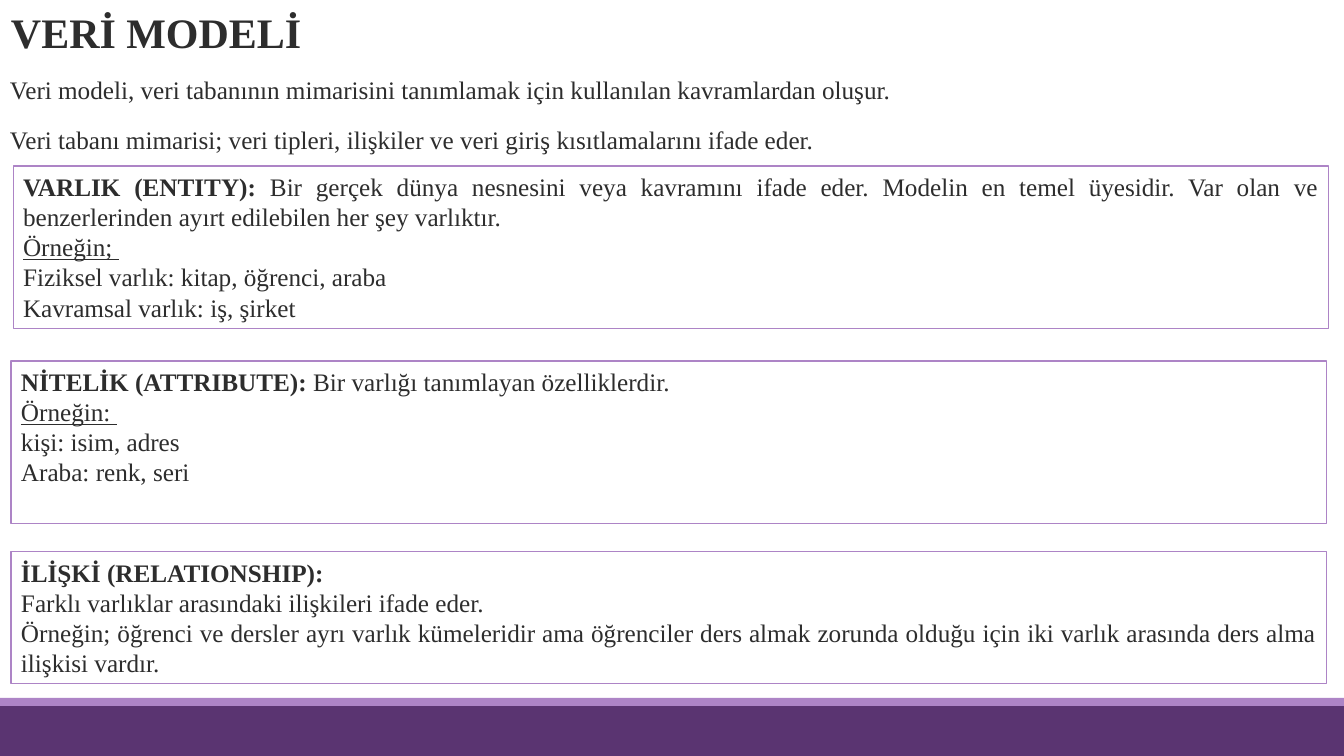
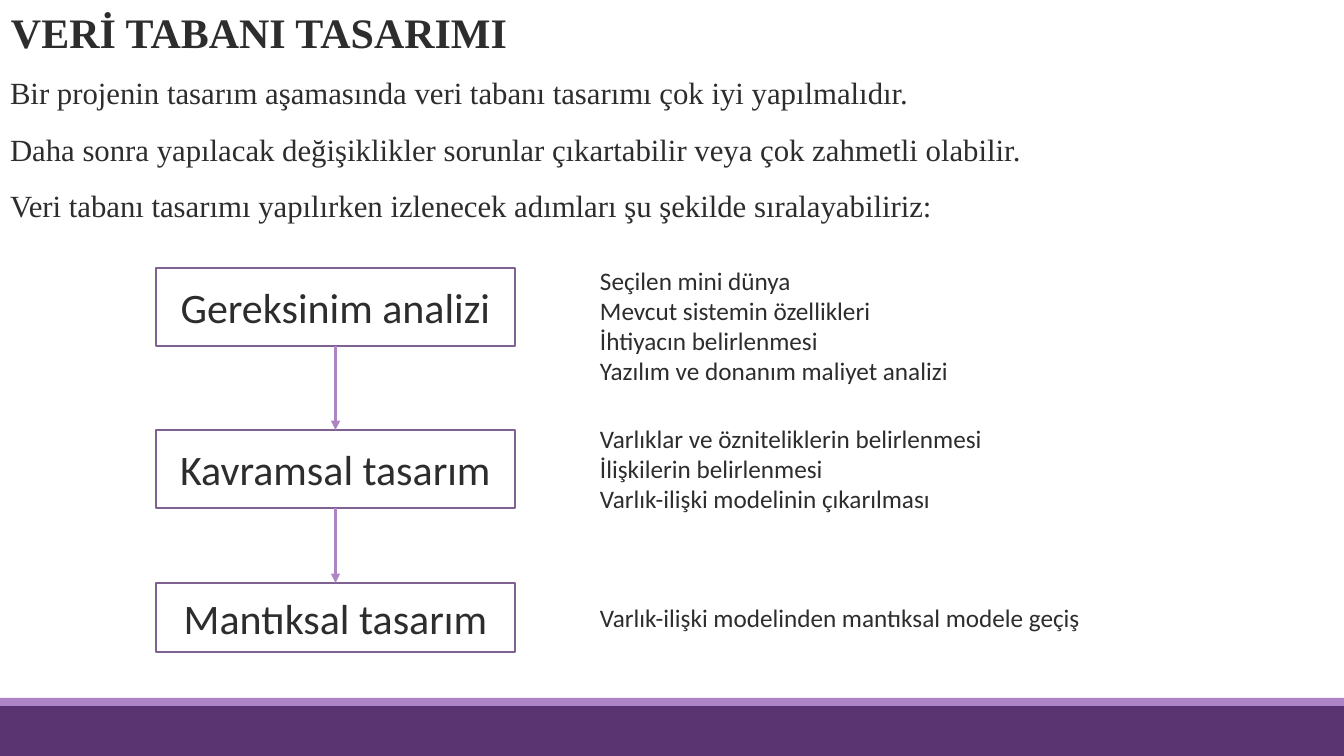
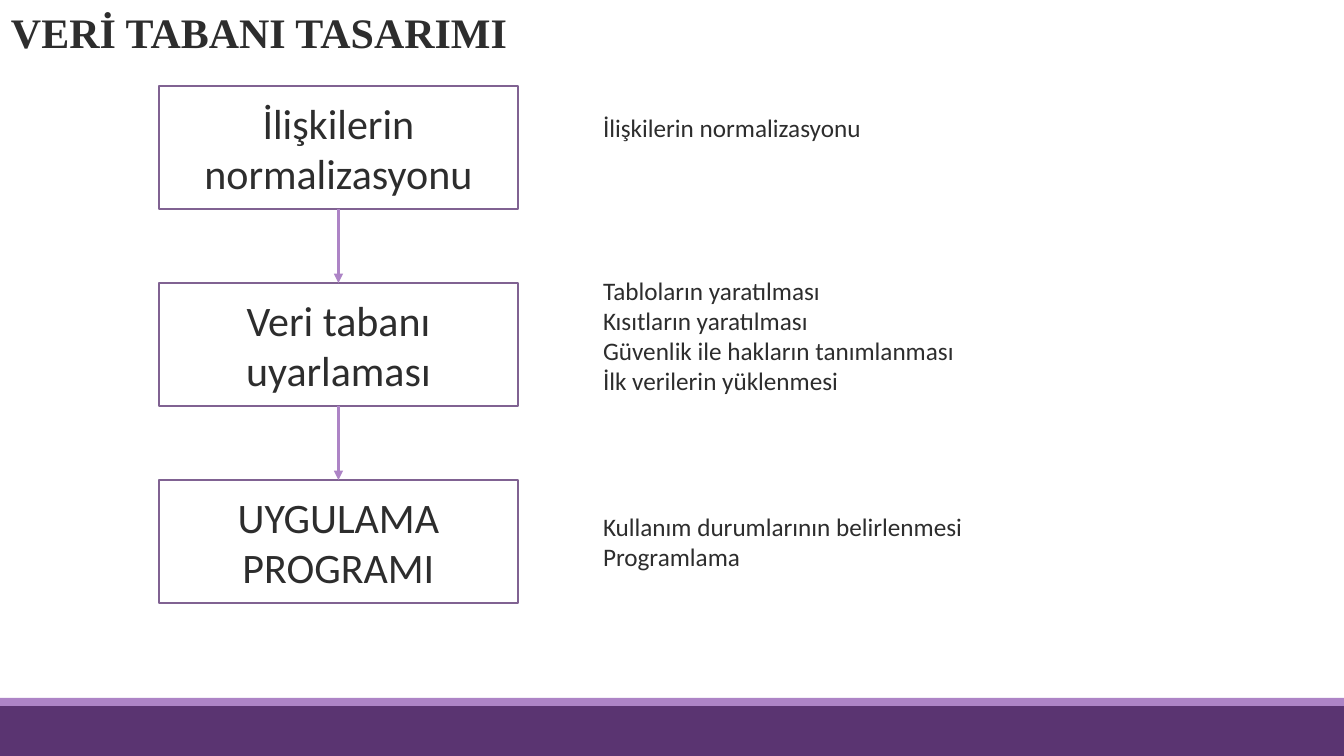
from dataclasses import dataclass
from itertools import pairwise

from lxml.etree import SubElement
from pptx import Presentation
from pptx.dml.color import RGBColor
from pptx.enum.shapes import MSO_CONNECTOR, MSO_SHAPE
from pptx.enum.text import MSO_ANCHOR, PP_ALIGN
from pptx.oxml.ns import qn
from pptx.util import Emu, Pt

SLIDE_WIDTH, SLIDE_HEIGHT = 1344, 756
EMU_PER_PX = 12192000 / SLIDE_WIDTH

DARK_PURPLE = "5A3471"
LIGHT_PURPLE = "AD84C6"
STEP_PURPLE = "806292"
INK = "2D2D2D"
SERIF = "Times New Roman"
SANS = "Calibri"

BOLD = {"bold": True}
UNDERLINE = {"underline": True}

TITLE_HEIGHT = 69
BAND_TOP, STRIPE_HEIGHT = 706, 8
STEP_WIDTH = 359
NOTE_OFFSET, NOTE_WIDTH = 434, 680
NOTE_LINE, NOTE_PADDING = 30, 10


@dataclass
class Step:
    top: int
    height: int
    label: str
    note_top: int
    notes: list


def px(length):
    return Emu(round(length * EMU_PER_PX))


def color(value):
    return RGBColor.from_string(value)


def add_rectangle(slide, box, fill=None, line=None, line_width=0.75):
    shape = slide.shapes.add_shape(MSO_SHAPE.RECTANGLE, *map(px, box))
    shape.shadow.inherit = False
    if fill:
        shape.fill.solid()
        shape.fill.fore_color.rgb = color(fill)
    else:
        shape.fill.background()
    if line:
        shape.line.color.rgb = color(line)
        shape.line.width = Pt(line_width)
    else:
        shape.line.fill.background()
    return shape


def write_text(shape, paragraphs, size=18, font=SERIF, bold=False,
               align=PP_ALIGN.LEFT, anchor=MSO_ANCHOR.TOP, side_inset=10,
               before=0, after=0, line_spacing=1.0):
    """Each paragraph is a string or a list of (text, run format) pairs."""
    frame = shape.text_frame
    frame.word_wrap = True
    frame.vertical_anchor = anchor
    frame.margin_left = frame.margin_right = px(side_inset)
    frame.margin_top = frame.margin_bottom = px(5)
    for index, content in enumerate(paragraphs):
        paragraph = frame.add_paragraph() if index else frame.paragraphs[0]
        paragraph.alignment = align
        paragraph.space_before, paragraph.space_after = Pt(before), Pt(after)
        paragraph.line_spacing = line_spacing
        runs = [(content, {})] if isinstance(content, str) else content
        for text, style in runs:
            run = paragraph.add_run()
            run.text = text
            run.font.name = font
            run.font.size = Pt(size)
            run.font.color.rgb = color(INK)
            run.font.bold = style.get("bold", bold)
            run.font.underline = style.get("underline", False)


def add_text(slide, box, paragraphs, **style):
    shape = slide.shapes.add_textbox(*map(px, box))
    write_text(shape, paragraphs, **style)


def add_arrow(slide, x, top, bottom):
    arrow = slide.shapes.add_connector(
        MSO_CONNECTOR.STRAIGHT, px(x), px(top), px(x), px(bottom))
    arrow.line.color.rgb = color(LIGHT_PURPLE)
    arrow.line.width = Pt(2.25)
    SubElement(arrow.line._get_or_add_ln(), qn("a:tailEnd"), type="triangle")
    SubElement(arrow._element.spPr, qn("a:effectLst"))


def add_base_slide(presentation, title):
    """Add a blank slide with the shared bands and title."""
    slide = presentation.slides.add_slide(presentation.slide_layouts[6])
    add_rectangle(slide, (0, BAND_TOP, SLIDE_WIDTH, SLIDE_HEIGHT - BAND_TOP),
                  fill=DARK_PURPLE)
    add_rectangle(slide, (0, BAND_TOP - STRIPE_HEIGHT, SLIDE_WIDTH, STRIPE_HEIGHT),
                  fill=LIGHT_PURPLE)
    add_text(slide, (0, 0, SLIDE_WIDTH, TITLE_HEIGHT), [title], size=30, bold=True,
             anchor=MSO_ANCHOR.MIDDLE, side_inset=11, before=12, after=2,
             line_spacing=0.9)
    return slide


def add_intro(slide, box, paragraphs, size):
    add_text(slide, box, paragraphs, size=size, align=PP_ALIGN.JUSTIFY,
             before=12, after=2)


def add_definition(slide, box, paragraphs):
    shape = add_rectangle(slide, box, line=LIGHT_PURPLE)
    write_text(shape, paragraphs, align=PP_ALIGN.JUSTIFY)


def add_steps(slide, left, steps):
    """Stack the step boxes with notes beside them and arrows between."""
    for step in steps:
        shape = add_rectangle(slide, (left, step.top, STEP_WIDTH, step.height),
                              line=STEP_PURPLE, line_width=1.25)
        write_text(shape, [step.label], size=30, font=SANS,
                   align=PP_ALIGN.CENTER, anchor=MSO_ANCHOR.MIDDLE)
        note_height = len(step.notes) * NOTE_LINE + NOTE_PADDING
        add_text(slide, (left + NOTE_OFFSET, step.note_top, NOTE_WIDTH, note_height),
                 step.notes, font=SANS)
    for upper, lower in pairwise(steps):
        add_arrow(slide, left + STEP_WIDTH / 2, upper.top + upper.height, lower.top)


def build_data_model(presentation):
    slide = add_base_slide(presentation, "VERİ MODELİ")
    add_intro(slide, (0, TITLE_HEIGHT, 1318, 95), [
        "Veri modeli, veri tabanının mimarisini tanımlamak için kullanılan "
        "kavramlardan oluşur.",
        "Veri tabanı mimarisi; veri tipleri, ilişkiler ve veri giriş "
        "kısıtlamalarını ifade eder.",
    ], size=18)
    add_definition(slide, (13, 166, 1316, 163), [
        [("VARLIK (ENTITY): ", BOLD),
         ("Bir gerçek dünya nesnesini veya kavramını ifade eder. Modelin en temel "
          "üyesidir. Var olan ve benzerlerinden ayırt edilebilen her şey varlıktır.",
          {})],
        [("Örneğin; ", UNDERLINE)],
        "Fiziksel varlık: kitap, öğrenci, araba",
        "Kavramsal varlık: iş, şirket",
    ])
    add_definition(slide, (11, 361, 1316, 163), [
        [("NİTELİK (ATTRIBUTE): ", BOLD),
         ("Bir varlığı tanımlayan özelliklerdir.", {})],
        [("Örneğin: ", UNDERLINE)],
        "kişi: isim, adres",
        "Araba: renk, seri",
    ])
    add_definition(slide, (11, 552, 1316, 132), [
        [("İLİŞKİ (RELATIONSHIP):", BOLD)],
        "Farklı varlıklar arasındaki ilişkileri ifade eder.",
        "Örneğin; öğrenci ve dersler ayrı varlık kümeleridir ama öğrenciler ders "
        "almak zorunda olduğu için iki varlık arasında ders alma ilişkisi vardır.",
    ])


def build_design_start(presentation):
    slide = add_base_slide(presentation, "VERİ TABANI TASARIMI")
    add_intro(slide, (0, TITLE_HEIGHT, SLIDE_WIDTH, 170), [
        "Bir projenin tasarım aşamasında veri tabanı tasarımı çok iyi yapılmalıdır.",
        "Daha sonra yapılacak değişiklikler sorunlar çıkartabilir veya çok zahmetli "
        "olabilir.",
        "Veri tabanı tasarımı yapılırken izlenecek adımları şu şekilde "
        "sıralayabiliriz:",
    ], size=22)
    add_steps(slide, 156, [
        Step(268, 78, "Gereksinim analizi", 260, [
            "Seçilen mini dünya",
            "Mevcut sistemin özellikleri",
            "İhtiyacın belirlenmesi",
            "Yazılım ve donanım maliyet analizi",
        ]),
        Step(430, 78, "Kavramsal tasarım", 418, [
            "Varlıklar ve özniteliklerin belirlenmesi",
            "İlişkilerin belirlenmesi",
            "Varlık-ilişki modelinin çıkarılması",
        ]),
        Step(583, 69, "Mantıksal tasarım", 597, [
            "Varlık-ilişki modelinden mantıksal modele geçiş",
        ]),
    ])


def build_design_end(presentation):
    slide = add_base_slide(presentation, "VERİ TABANI TASARIMI")
    first_top, height, pitch = 86, 123, 197
    contents = [
        ("İlişkilerin normalizasyonu", 107, ["İlişkilerin normalizasyonu"]),
        ("Veri tabanı uyarlaması", 270, [
            "Tabloların yaratılması",
            "Kısıtların yaratılması",
            "Güvenlik ile hakların tanımlanması",
            "İlk verilerin yüklenmesi",
        ]),
        ("UYGULAMA PROGRAMI", 506, [
            "Kullanım durumlarının belirlenmesi",
            "Programlama",
        ]),
    ]
    add_steps(slide, 159, [
        Step(first_top + index * pitch, height, *content)
        for index, content in enumerate(contents)
    ])


def main():
    presentation = Presentation()
    presentation.slide_width = px(SLIDE_WIDTH)
    presentation.slide_height = px(SLIDE_HEIGHT)
    build_data_model(presentation)
    build_design_start(presentation)
    build_design_end(presentation)
    presentation.save("out.pptx")


if __name__ == "__main__":
    main()
